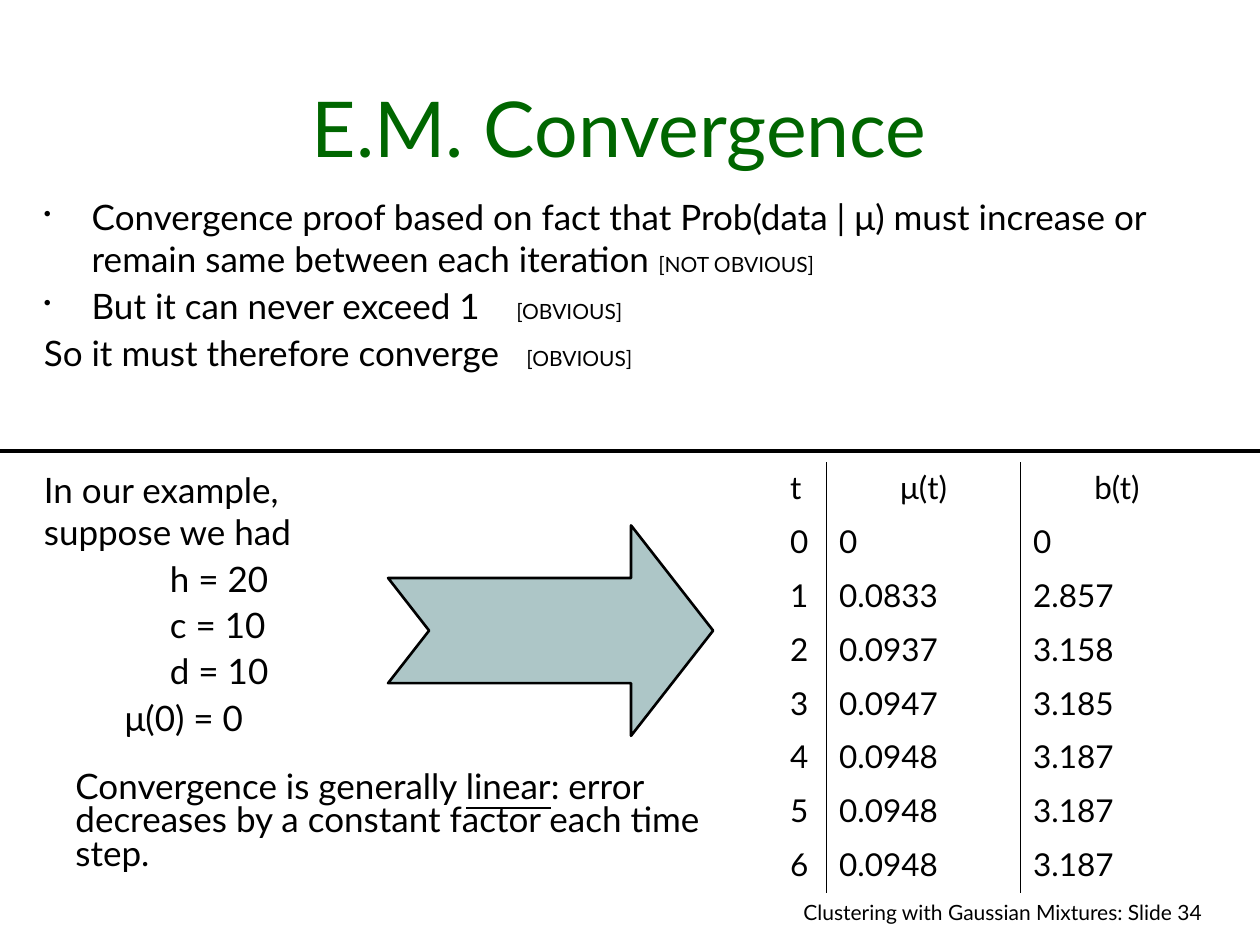
from dataclasses import dataclass

from lxml import etree
from pptx import Presentation
from pptx import util as u
from pptx.dml import color
from pptx.enum import shapes, text
from pptx.oxml import ns


@dataclass(frozen=True)
class Theme:
    """Hold the colours, font and type sizes of the slide."""
    font: str = "Lato"
    ink: str = "000000"
    title_ink: str = "006600"
    arrow_fill: str = "ADC6C7"
    title: int = 44
    body: int = 20
    table: int = 18
    small: int = 12


THEME = Theme()
ALIGN = text.PP_ALIGN
NO_GRID_STYLE = "{2D5ABB26-0587-4C30-8999-92F81FD0307C}"
PROOF = [
    (True, None, "Convergence proof based on fact that Prob(data | μ) must increase or "
                 "remain same between each iteration ", "[NOT OBVIOUS]"),
    (True, 3.75, "But it can never exceed 1\t", "[OBVIOUS]"),
    (False, 3.83, "So it must therefore converge\t", "[OBVIOUS]"),
]
EXAMPLE = [
    ("In our example, suppose we had", 0),
    ("h = 20", 1), ("c = 10", 1), ("d = 10", 1),
    ("μ(0) = 0", 0.64),
]
ITERATIONS = [
    ("t", "μ(t)", "b(t)"),
    ("0", "0", "0"),
    ("1", "0.0833", "2.857"),
    ("2", "0.0937", "3.158"),
    ("3", "0.0947", "3.185"),
    ("4", "0.0948", "3.187"),
    ("5", "0.0948", "3.187"),
    ("6", "0.0948", "3.187"),
]


def inches(box):
    """Turn a box of numbers into lengths."""
    return [u.Inches(value) for value in box]


def add_element(parent, tag, **attributes):
    """Append a drawing element with the given attributes."""
    values = {name: str(value) for name, value in attributes.items()}
    return etree.SubElement(parent, ns.qn(tag), values)


def style_run(run, size, ink=THEME.ink):
    """Give a run the slide font, a size and a colour."""
    run.font.name = THEME.font
    run.font.size = u.Pt(size)
    run.font.color.rgb = color.RGBColor.from_string(ink)


def add_run(paragraph, words, size, ink=THEME.ink):
    """Append a styled run to a paragraph."""
    run = paragraph.add_run()
    run.text = words
    style_run(run, size, ink)
    return run


def add_paragraphs(slide, box, count, space_before=0, anchor=text.MSO_ANCHOR.TOP):
    """Add a wrapping text box and return its paragraphs."""
    frame = slide.shapes.add_textbox(*inches(box)).text_frame
    frame.word_wrap = True
    frame.vertical_anchor = anchor
    for _ in range(count - 1):
        frame.add_paragraph()
    for paragraph in frame.paragraphs:
        paragraph.space_before = u.Pt(space_before)
    return frame.paragraphs


def add_footer(slide, box):
    """Place the lecture name and slide number."""
    paragraph, = add_paragraphs(slide, box, 1, 7.5)
    paragraph.alignment = ALIGN.RIGHT
    add_run(paragraph, "Clustering with Gaussian Mixtures: Slide 34", THEME.small)


def add_title(slide, box):
    """Place the centred title at the foot of its box."""
    paragraph, = add_paragraphs(slide, box, 1, anchor=text.MSO_ANCHOR.BOTTOM)
    paragraph.alignment = ALIGN.CENTER
    add_run(paragraph, "E.M. Convergence", THEME.title, THEME.title_ink)


def add_proof(slide, box):
    """Place the proof steps with their small remarks."""
    paragraphs = add_paragraphs(slide, box, len(PROOF), 3)
    for paragraph, (bulleted, tab, claim, remark) in zip(paragraphs, PROOF):
        properties = paragraph._p.get_or_add_pPr()
        if bulleted:
            properties.set("marL", str(u.Inches(0.38)))
            properties.set("indent", str(-u.Inches(0.38)))
            bullet_color = add_element(properties, "a:buClr")
            add_element(bullet_color, "a:srgbClr", val=THEME.ink)
            add_element(properties, "a:buSzPct", val=60000)
            add_element(properties, "a:buChar", char="•")
        if tab:
            stops = add_element(properties, "a:tabLst")
            add_element(stops, "a:tab", pos=u.Inches(tab), algn="l")
        add_run(paragraph, claim, THEME.body)
        add_run(paragraph, remark, THEME.small)


def add_divider(slide, box):
    """Draw the rule along the top of its box."""
    left, top, width, _ = inches(box)
    line = slide.shapes.add_connector(
        shapes.MSO_CONNECTOR.STRAIGHT, left, top, left + width, top)
    line.line.color.rgb = color.RGBColor.from_string(THEME.ink)
    line.line.width = u.Pt(2.25)
    add_element(line._element.spPr, "a:effectLst")


def add_border(cell, tag):
    """Append a thin border to one side of a cell."""
    border = add_element(cell._tc.get_or_add_tcPr(), tag, w=u.Pt(0.45))
    fill = add_element(border, "a:solidFill")
    add_element(fill, "a:srgbClr", val=THEME.ink)


def add_iterations(slide, box):
    """Place the table of estimates, ruled between columns only."""
    row_count, column_count = len(ITERATIONS), len(ITERATIONS[0])
    frame = slide.shapes.add_table(row_count, column_count, *inches(box))
    table = frame.table
    table.first_row = table.horz_banding = False
    table._tbl.tblPr.find(ns.qn("a:tableStyleId")).text = NO_GRID_STYLE
    for column, share in zip(table.columns, (0.39, 1.54, 1.53)):
        column.width = u.Inches(box[2] * share / 3.46)
    for row_index, values in enumerate(ITERATIONS):
        for column_index, value in enumerate(values):
            cell = table.cell(row_index, column_index)
            if column_index > 0:
                add_border(cell, "a:lnL")
            if column_index < column_count - 1:
                add_border(cell, "a:lnR")
            cell.fill.background()
            paragraph = cell.text_frame.paragraphs[0]
            paragraph.space_before = u.Pt(4.5)
            is_heading = row_index == 0 and column_index > 0
            paragraph.alignment = ALIGN.CENTER if is_heading else ALIGN.LEFT
            add_run(paragraph, value, THEME.table)


def add_example(slide, box):
    """Place the example's starting values."""
    paragraphs = add_paragraphs(slide, box, len(EXAMPLE), 2.5)
    for paragraph, (words, indent) in zip(paragraphs, EXAMPLE):
        paragraph._p.get_or_add_pPr().set("marL", str(u.Inches(indent)))
        add_run(paragraph, words, THEME.body)


def add_conclusion(slide, box):
    """Place the remark on the rate of convergence."""
    paragraph, = add_paragraphs(slide, box, 1, 12.5)
    paragraph.line_spacing = 0.8
    add_run(paragraph, "Convergence is generally ", THEME.body)
    add_run(paragraph, "linear", THEME.body).font.underline = True
    add_run(paragraph, ": error decreases by a constant factor each time step.", THEME.body)


def add_arrow(slide, box):
    """Draw the notched arrow from the example to the table."""
    arrow = slide.shapes.add_shape(shapes.MSO_SHAPE.NOTCHED_RIGHT_ARROW, *inches(box))
    arrow.adjustments[0] = 0.5
    arrow.adjustments[1] = 0.39
    arrow.shadow.inherit = False
    arrow.fill.solid()
    arrow.fill.fore_color.rgb = color.RGBColor.from_string(THEME.arrow_fill)
    arrow.line.color.rgb = color.RGBColor.from_string(THEME.ink)
    arrow.line.width = u.Pt(1.5)


def main():
    """Build and save the slide."""
    presentation = Presentation()
    presentation.slide_width, presentation.slide_height = inches((10, 7.5))
    slide = presentation.slides.add_slide(presentation.slide_layouts[6])
    add_footer(slide, (5.72, 7.09, 3.92, 0.33))
    add_title(slide, (0.25, 0.25, 9.33, 1.17))
    add_proof(slide, (0.25, 1.5, 9.5, 2))
    add_divider(slide, (0, 3.58, 10, 0))
    add_iterations(slide, (6.17, 3.67, 3.46, 3.42))
    add_example(slide, (0.25, 3.67, 2.83, 2.24))
    add_conclusion(slide, (0.5, 6.08, 5.58, 0.9))
    add_arrow(slide, (3.08, 4.17, 2.58, 1.67))
    presentation.save("out.pptx")


if __name__ == "__main__":
    main()
